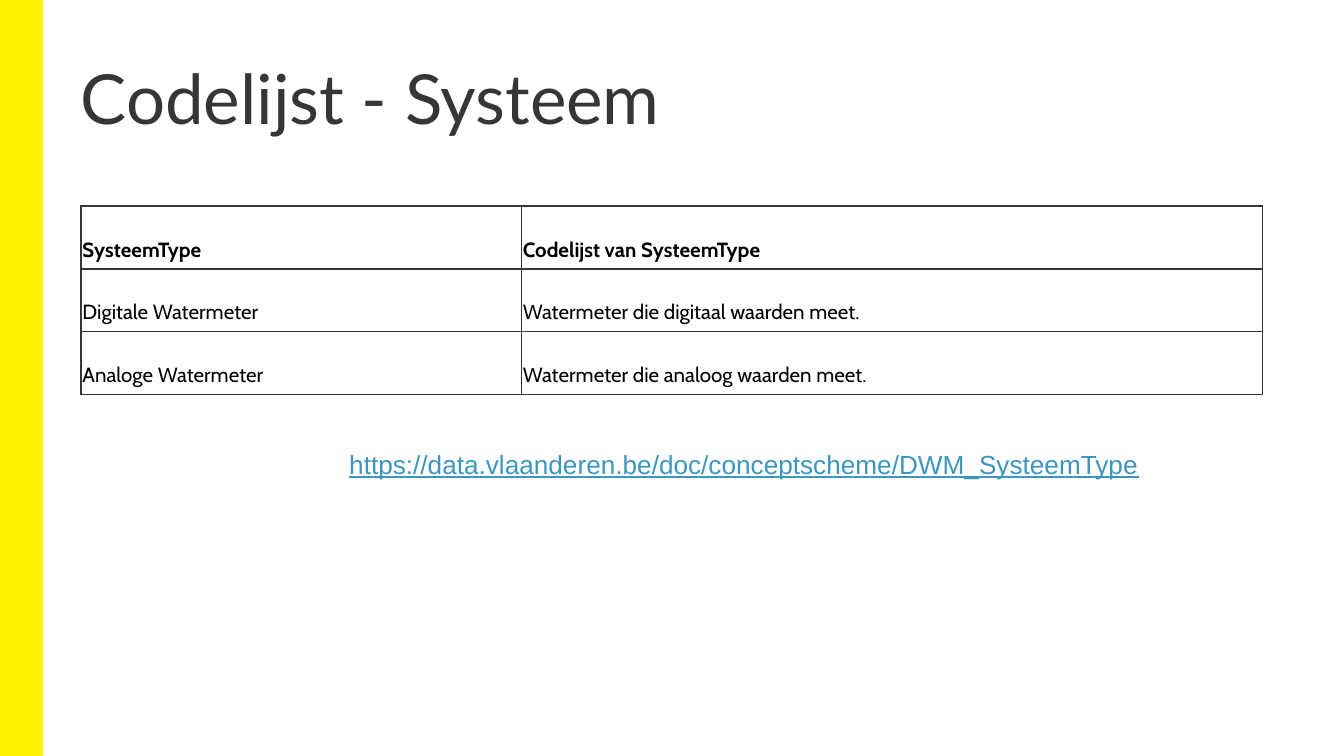
from dataclasses import dataclass

from lxml.etree import SubElement
from pptx import Presentation
from pptx.dml.color import RGBColor
from pptx.enum.shapes import MSO_SHAPE as Shape
from pptx.enum.text import MSO_ANCHOR as Anchor, MSO_AUTO_SIZE as AutoSize, PP_ALIGN as Align
from pptx.oxml.ns import qn
from pptx.util import Pt

COLORS = {"yellow": "FFF200", "dark": "373636", "black": "000000", "link": "3C96BE"}


@dataclass
class Row:
    name: str
    description: str
    bold: bool = False


ROWS = [
    Row("SysteemType", "Codelijst van SysteemType", bold=True),
    Row("Digitale Watermeter", "Watermeter die digitaal waarden meet."),
    Row("Analoge Watermeter", "Watermeter die analoog waarden meet."),
]
COL_WIDTHS = (236, 397)
ROW_HEIGHT = 33.65


def color(name: str) -> RGBColor:
    return RGBColor.from_string(COLORS[name])


def write(tf, text: str, *, font: str, size: float, fill: str, bold: bool = False,
          underline: bool = False, spacing: float = 1.0, anchor=Anchor.TOP) -> None:
    tf.word_wrap = True
    tf.vertical_anchor = anchor
    p = tf.paragraphs[0]
    p.alignment = Align.LEFT
    p.line_spacing = spacing
    r = p.add_run()
    r.text = text
    r.font.name = font
    r.font.size = Pt(size)
    r.font.bold = bold
    r.font.underline = underline
    r.font.color.rgb = color(fill)


def set_margins(box, left: float, top: float, right: float, bottom: float) -> None:
    box.margin_left, box.margin_top = Pt(left), Pt(top)
    box.margin_right, box.margin_bottom = Pt(right), Pt(bottom)


def add_borders(cell, name: str, width: float) -> None:
    tcPr = cell._tc.get_or_add_tcPr()
    for i, side in enumerate(("lnL", "lnR", "lnT", "lnB")):
        ln = tcPr.makeelement(qn(f"a:{side}"), {"w": str(Pt(width))})
        SubElement(SubElement(ln, qn("a:solidFill")), qn("a:srgbClr"), val=COLORS[name])
        tcPr.insert(i, ln)


def add_code_table(s, left: float, top: float, rows: list[Row]) -> None:
    frame = s.shapes.add_table(len(rows), len(COL_WIDTHS), Pt(left), Pt(top),
                               Pt(sum(COL_WIDTHS)), Pt(ROW_HEIGHT * len(rows)))
    table = frame.table
    table.first_row = table.horz_banding = False
    for column, width in zip(table.columns, COL_WIDTHS):
        column.width = Pt(width)
    for i, row in enumerate(rows):
        table.rows[i].height = Pt(ROW_HEIGHT)
        for j, text in enumerate((row.name, row.description)):
            cell = table.cell(i, j)
            cell.fill.background()
            write(cell.text_frame, text, font="Cabin", size=11, fill="black", bold=row.bold)
            cell.vertical_anchor = Anchor.BOTTOM
            set_margins(cell, 0.75, 0.75, 0.75, 3.6)
            add_borders(cell, "dark", 1)


def main() -> None:
    prs = Presentation()
    prs.slide_width, prs.slide_height = Pt(720), Pt(405)
    s = prs.slides.add_slide(prs.slide_layouts[5])

    # Yellow side bar, behind the title
    bar = s.shapes.add_shape(Shape.RECTANGLE, 0, 0, Pt(22.5), prs.slide_height)
    bar.shadow.inherit = False
    bar.fill.solid()
    bar.fill.fore_color.rgb = bar.line.color.rgb = color("yellow")
    bar.line.width = Pt(1)
    s.shapes._spTree.insert(2, bar._element)

    # Title
    title = s.shapes.title
    title.left, title.top, title.width, title.height = Pt(36), Pt(21), Pt(584), Pt(66)
    tf = title.text_frame
    set_margins(tf, 7.2, 7.2, 7.2, 7.2)
    tf.auto_size = AutoSize.NONE
    write(tf, "Codelijst - Systeem", font="Lato", size=37, fill="dark", spacing=1.03)

    # Code list
    add_code_table(s, 43.4, 110.4, ROWS)

    # Address of the code list
    link = s.shapes.add_textbox(Pt(180), Pt(236.5), Pt(494), Pt(41))
    write(link.text_frame, "https://data.vlaanderen.be/doc/conceptscheme/DWM_SysteemType",
          font="Arial", size=14, fill="link", underline=True)
    link.text_frame.auto_size = AutoSize.SHAPE_TO_FIT_TEXT

    prs.save("out.pptx")


if __name__ == "__main__":
    main()
